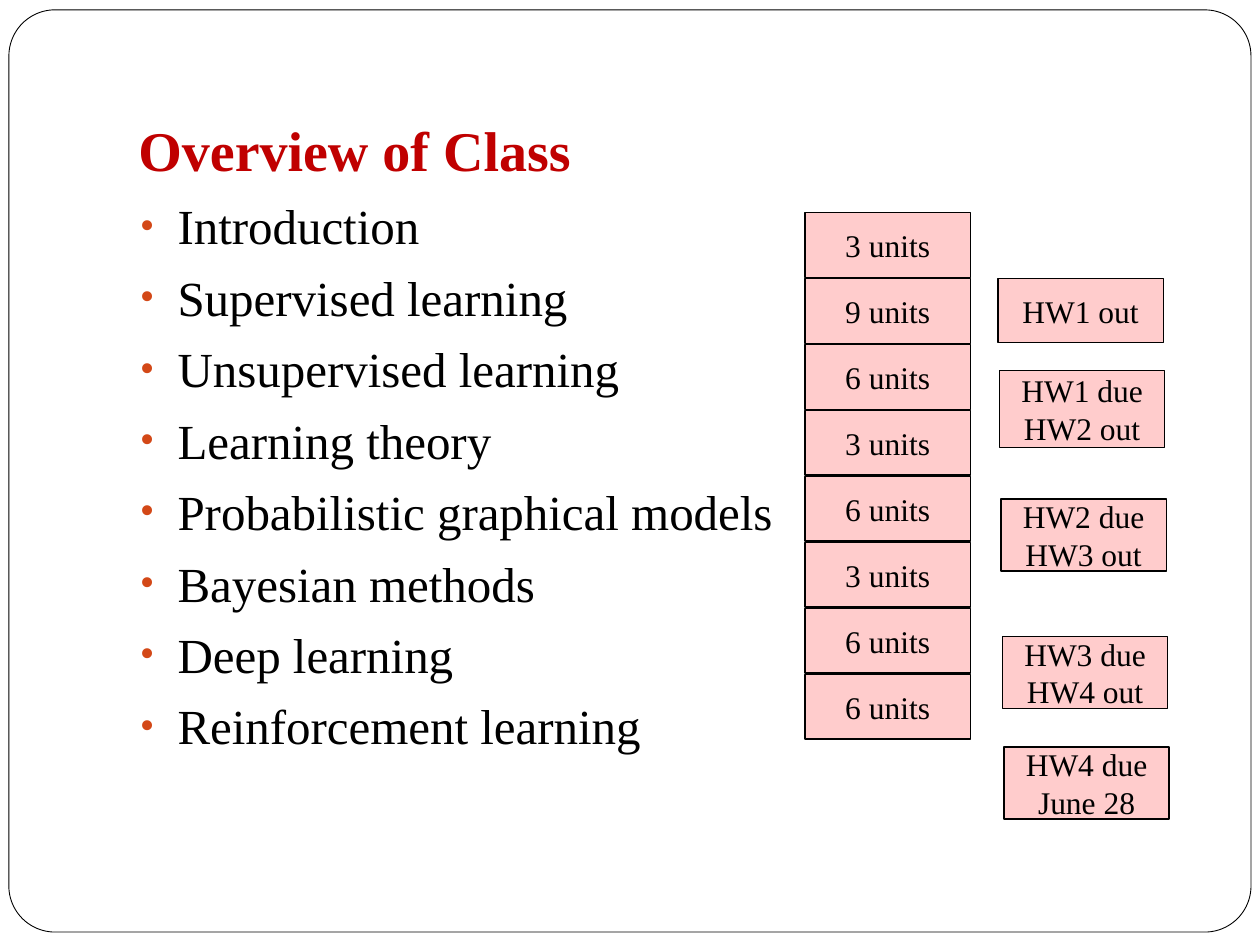
from lxml import etree
from pptx import Presentation
from pptx.dml.color import RGBColor
from pptx.enum.shapes import MSO_SHAPE
from pptx.enum.text import MSO_ANCHOR, PP_ALIGN
from pptx.oxml.ns import qn
from pptx.util import Cm, Pt

RECT = MSO_SHAPE.RECTANGLE
ROUND = MSO_SHAPE.ROUNDED_RECTANGLE
MIDDLE = MSO_ANCHOR.MIDDLE
BOTTOM = MSO_ANCHOR.BOTTOM
CENTER = PP_ALIGN.CENTER

FONT = "Times New Roman"
BLACK, WHITE, RED, PINK, RUST = "000000", "FFFFFF", "C00000", "FFCCCC", "D34817"
BOX_W, BOX_H = 3.33, 1.3

TOPICS = [
    ("Introduction", 3),
    ("Supervised learning", 9),
    ("Unsupervised learning", 6),
    ("Learning theory", 3),
    ("Probabilistic graphical models", 6),
    ("Bayesian methods", 3),
    ("Deep learning", 6),
    ("Reinforcement learning", 6),
]
# Top and height in cm, then the lines of each homework box
HOMEWORK = [
    (5.61, BOX_H, ["HW1 out"]),
    (7.47, 1.55, ["HW1 due", "HW2 out"]),
    (10.06, 1.45, ["HW2 due", "HW3 out"]),
    (12.83, 1.45, ["HW3 due", "HW4 out"]),
    (15.06, 1.45, ["HW4 due", "June 28"]),
]


def color(code):
    return RGBColor.from_string(code)


def write(shape, lines, size, ink=BLACK, bold=False, align=None):
    """Fill a shape with one paragraph per line and return the paragraphs."""
    frame = shape.text_frame
    frame.word_wrap = True
    frame.text = "\n".join(lines)
    for para in frame.paragraphs:
        para.alignment = align
        para.font.name = FONT
        para.font.size = Pt(size)
        para.font.bold = bold
        para.font.color.rgb = color(ink)
    return frame.paragraphs


def add_block(slide, kind, place, fill, width):
    shape = slide.shapes.add_shape(kind, *map(Cm, place))
    shape.shadow.inherit = False
    shape.fill.solid()
    shape.fill.fore_color.rgb = color(fill)
    shape.line.color.rgb = color(BLACK)
    shape.line.width = Pt(width)
    return shape


def add_border(slide):
    border = add_block(slide, ROUND, (0.18, 0.2, 25.04, 18.59), WHITE, 0.5)
    border.adjustments[0] = 0.05


def add_title(slide, text):
    box = slide.shapes.add_textbox(Cm(2.54), Cm(0.76), Cm(21.59), Cm(3.18))
    box.text_frame.vertical_anchor = BOTTOM
    box.text_frame.margin_bottom = Cm(0.25)
    write(box, [text], 32, RED, bold=True)


def add_bullet(para):
    props = para._p.get_or_add_pPr()
    props.set("marL", str(Cm(0.76)))
    props.set("indent", str(Cm(-0.76)))
    tint = etree.SubElement(props, qn("a:buClr"))
    etree.SubElement(tint, qn("a:srgbClr"), val=RUST)
    etree.SubElement(props, qn("a:buSzPct"), val="85000")
    etree.SubElement(props, qn("a:buFont"), typeface=FONT)
    etree.SubElement(props, qn("a:buChar"), char="•")
    # Default run properties close the list of children
    props.append(props.find(qn("a:defRPr")))


def add_topics(slide, names):
    box = slide.shapes.add_textbox(Cm(2.57), Cm(3.73), Cm(21.77), Cm(13.28))
    box.text_frame.margin_top = Cm(0.22)
    for para in write(box, names, 28):
        para.space_before = Pt(7.2)
        add_bullet(para)


def add_box(slide, left, top, height, lines):
    box = add_block(slide, RECT, (left, top, BOX_W, height), PINK, 0.75)
    frame = box.text_frame
    frame.vertical_anchor = MIDDLE
    frame.margin_left = frame.margin_right = Cm(0.05)
    write(box, lines, 18, align=CENTER)


def main():
    deck = Presentation()
    deck.slide_width, deck.slide_height = Cm(25.4), Cm(19.05)
    slide = deck.slides.add_slide(deck.slide_layouts[6])
    add_border(slide)
    add_title(slide, "Overview of Class")
    add_topics(slide, [name for name, _ in TOPICS])
    for row, (_, count) in enumerate(TOPICS):
        add_box(slide, 16.23, 4.29 + 1.33 * row, BOX_H, [f"{count} units"])
    for row, (top, height, lines) in enumerate(HOMEWORK):
        add_box(slide, 20.12 + 0.03 * row, top, height, lines)
    deck.save("out.pptx")


if __name__ == "__main__":
    main()
